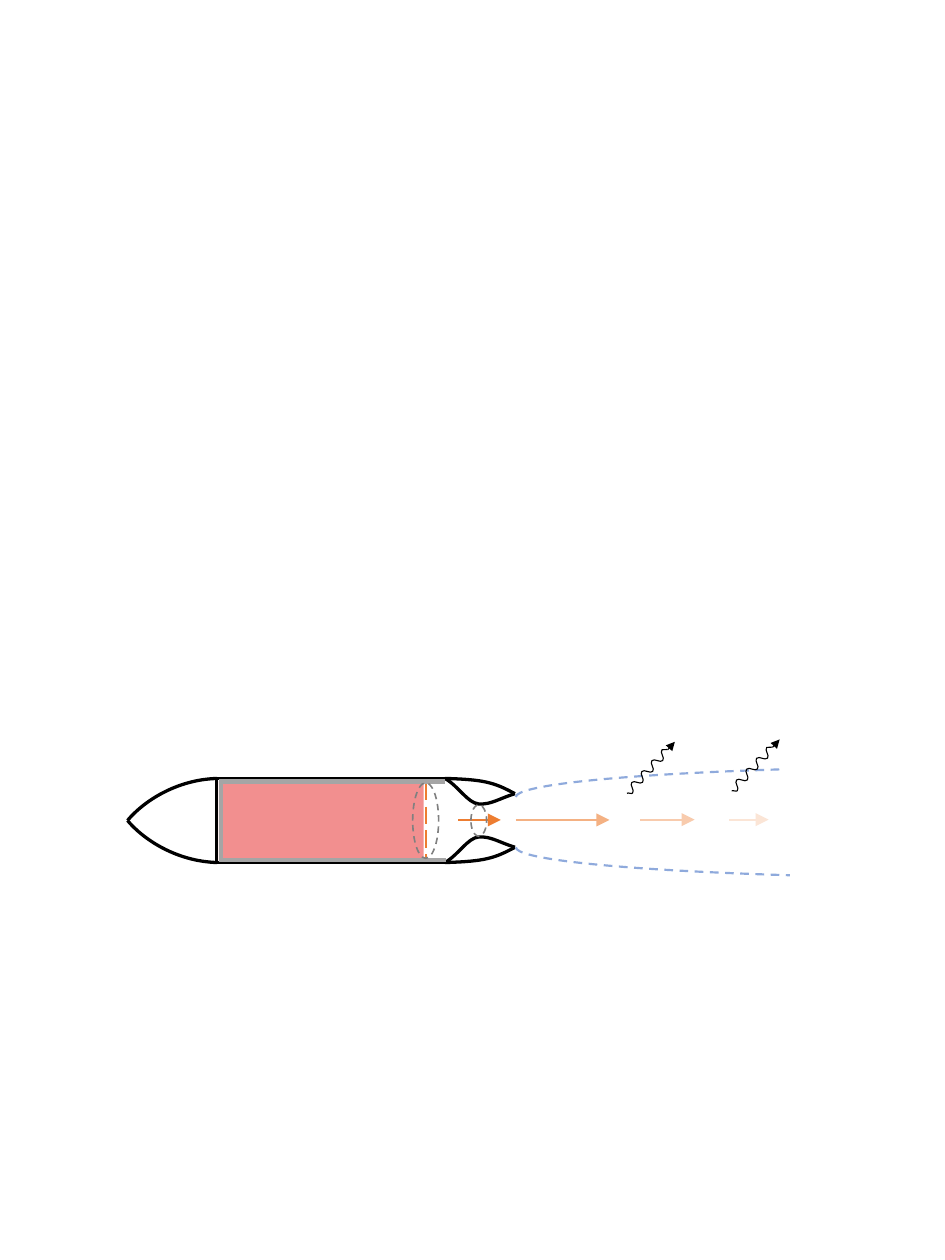
from pptx import Presentation
from pptx.dml.color import RGBColor
from pptx.enum.dml import MSO_LINE
from pptx.enum.shapes import MSO_CONNECTOR, MSO_SHAPE
from pptx.oxml.ns import qn
from pptx.util import Inches, Pt
from lxml import etree

STRAIGHT = MSO_CONNECTOR.STRAIGHT
RECT, OVAL, ARC = MSO_SHAPE.RECTANGLE, MSO_SHAPE.OVAL, MSO_SHAPE.ARC
DASH, LONG = MSO_LINE.DASH, MSO_LINE.LONG_DASH

BLACK, GRAY, RING = "000000", "A5A5A5", "808080"
FUEL, FLAME, PLUME = "F28F8F", "ED7D31", "8FAADC"
COLS, ROWS = 600, 800
AXIS = 521  # row of the rocket's centre line
TILT = 312.8  # angle of the radiation waves


def rgb(code):
    return RGBColor.from_string(code)


def mirror(points):
    """Reflect points across the rocket's centre line."""
    return [(x, 2 * AXIS - y) for x, y in points]


class Sketch:
    """Draws on one slide, measured in grid columns and rows."""

    def __init__(self, deck):
        self.slide = deck.slides.add_slide(deck.slide_layouts[6])
        self.shapes = self.slide.shapes
        self.col = deck.slide_width / COLS
        self.row = deck.slide_height / ROWS

    def spot(self, x, y):
        return round(x * self.col), round(y * self.row)

    def pen(self, item, color, width, dash=None):
        item.line.color.rgb = rgb(color)
        item.line.width = Pt(width)
        if dash:
            item.line.dash_style = dash

    def line(self, start, end, color=BLACK, width=1.5, dash=None, head=None):
        """Draw a line; head is the arrowhead's size, such as "med"."""
        item = self.shapes.add_connector(
            STRAIGHT, *self.spot(*start), *self.spot(*end))
        self.pen(item, color, width, dash)
        props = item.element.spPr
        if head:
            etree.SubElement(props.find(qn("a:ln")), qn("a:tailEnd"),
                             type="triangle", w=head, len=head)
        etree.SubElement(props, qn("a:effectLst"))

    def curve(self, points, width=1.5):
        """Draw cubic curves: a start, then three points per curve."""
        first, *rest = [self.spot(*p) for p in points]
        maker = self.shapes.build_freeform(*first)
        maker.add_line_segments(rest, close=False)
        item = maker.convert_to_shape()
        legs = list(item.element.iter(qn("a:lnTo")))
        for a, b, c in zip(legs[::3], legs[1::3], legs[2::3]):
            bend = etree.Element(qn("a:cubicBezTo"))
            a.addprevious(bend)
            for leg in (a, b, c):
                bend.append(leg[0])
                leg.getparent().remove(leg)
        item.fill.background()
        item.shadow.inherit = False
        self.pen(item, BLACK, width)
        return item

    def shape(self, kind, x, y, w, h):
        item = self.shapes.add_shape(
            kind, *self.spot(x, y), *self.spot(w, h))
        item.shadow.inherit = False
        return item

    def block(self, x, y, w, h, color):
        item = self.shape(RECT, x, y, w, h)
        item.fill.solid()
        item.fill.fore_color.rgb = rgb(color)
        item.line.fill.background()

    def ring(self, x, y, w, h):
        item = self.shape(OVAL, x, y, w, h)
        item.fill.background()
        self.pen(item, RING, 0.75, DASH)

    def plume(self, top, turn, end, flip=False):
        """Draw one edge of the exhaust as a turned arc."""
        item = self.shape(ARC, 607, top, 39, 598)
        item.adjustments[0], item.adjustments[1] = 162, end
        item.rotation = turn
        if flip:
            item.element.spPr.find(qn("a:xfrm")).set("flipV", "1")
        item.fill.background()
        self.pen(item, PLUME, 1, DASH)

    def wave(self, x, y, tip):
        """Draw a tilted wave from its level left end, with an arrow at tip."""
        amp, half = 2.5, 4.7
        points = [(x, y), (x + 1, y), (x + 1.5, y + amp), (x + 2.5, y + amp)]
        for n in range(7):
            px, py = points[-1]
            ny = y - amp if n % 2 == 0 else y + amp
            points += [(px + half / 2, py), (px + half / 2, ny),
                       (px + half, ny)]
        px, py = points[-1]
        points += [(px + 1, py), (px + 1.5, y), (px + 2.5, y)]
        self.curve(points, 0.5).rotation = TILT
        tx, ty = tip
        self.line((tx - 4.5, ty + 5), tip, width=0.5, head="sm")


def main():
    deck = Presentation()
    deck.slide_width, deck.slide_height = Inches(6), Inches(8)
    art = Sketch(deck)

    nose = [(81, 521), (91, 509), (112, 495), (138, 494.3)]
    wall = [(138, 494.3), (282.5, 494.3)]
    skirt = [(282.5, 494.3), (308, 495), (314, 497), (327, 504)]
    throat = [(282.5, 494.3), (291, 499), (297, 510), (304, 510.5),
              (312, 511), (317, 507), (327, 504)]
    for side in (list, mirror):
        art.curve(side(nose))
        art.line(*side(wall))
        art.curve(side(skirt))
        art.curve(side(throat))

    art.block(139, 496, 130, 51, FUEL)
    for left, right, color in [(291, 318, FLAME), (327.5, 387, "F4B183")]:
        art.line((left, 520.6), (right, 520.6), color, 1, head="med")
    art.line((137.6, 494), (137.6, 547))
    art.line((270.6, 497), (270.6, 546), FLAME, 1, LONG)
    for start, end in [((139, 496.3), (282.5, 496.3)),
                       ((139, 546), (283, 546)),
                       ((140.3, 546), (140.3, 497))]:
        art.line(start, end, GRAY, 2)
    art.ring(262, 497, 16.5, 48)
    art.ring(299, 511, 10, 20)

    art.plume(207, 270, 166.58)
    art.plume(239, 90, 166.84, flip=True)
    art.wave(392, 489.8, (428.5, 471))
    art.wave(458.5, 488.3, (495, 469.5))

    for left, right, color in [(406.5, 441, "F8CBAD"), (463, 488, "FBE5D6")]:
        art.line((left, 520.4), (right, 520.4), color, 1, head="med")

    deck.save("out.pptx")


if __name__ == "__main__":
    main()
